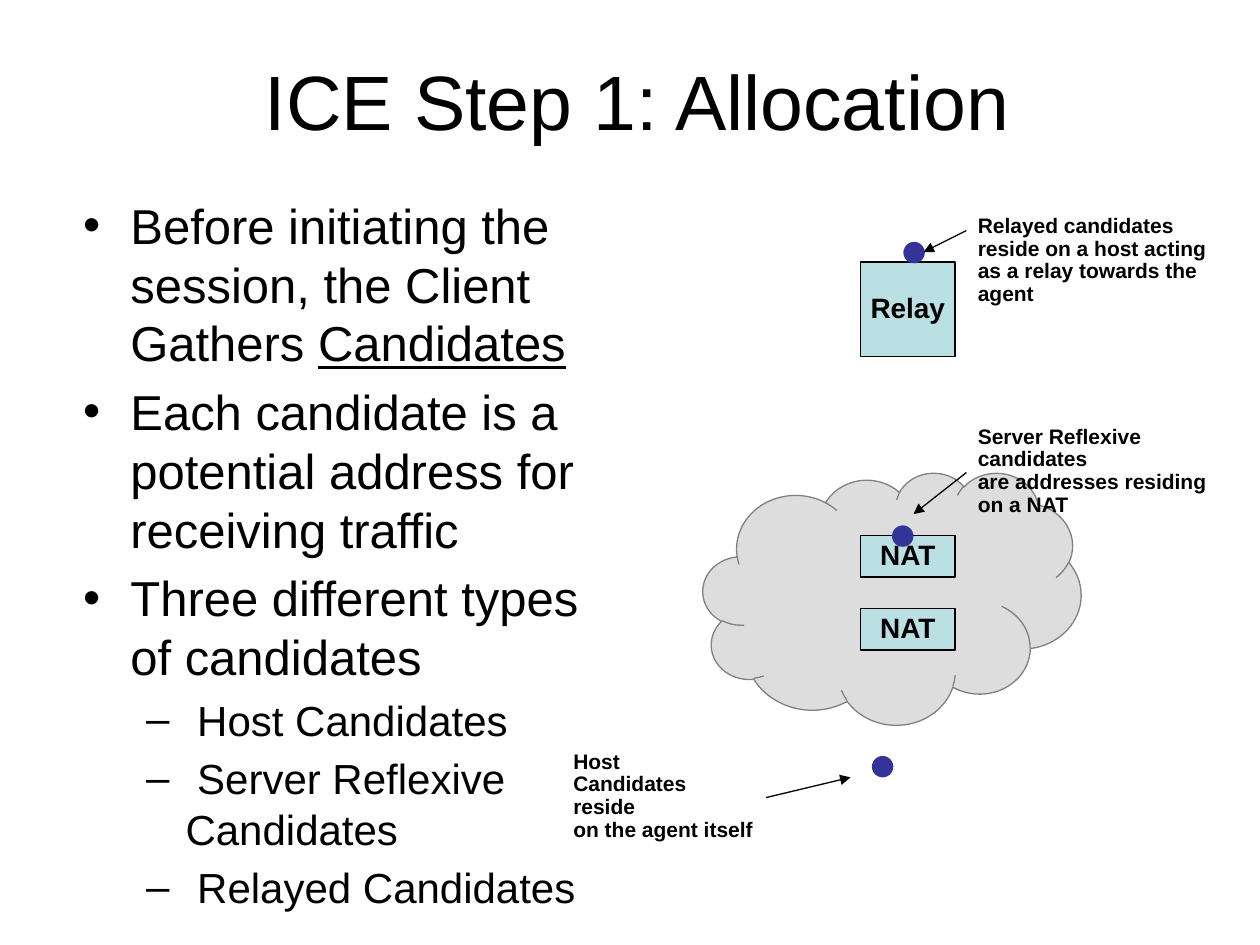
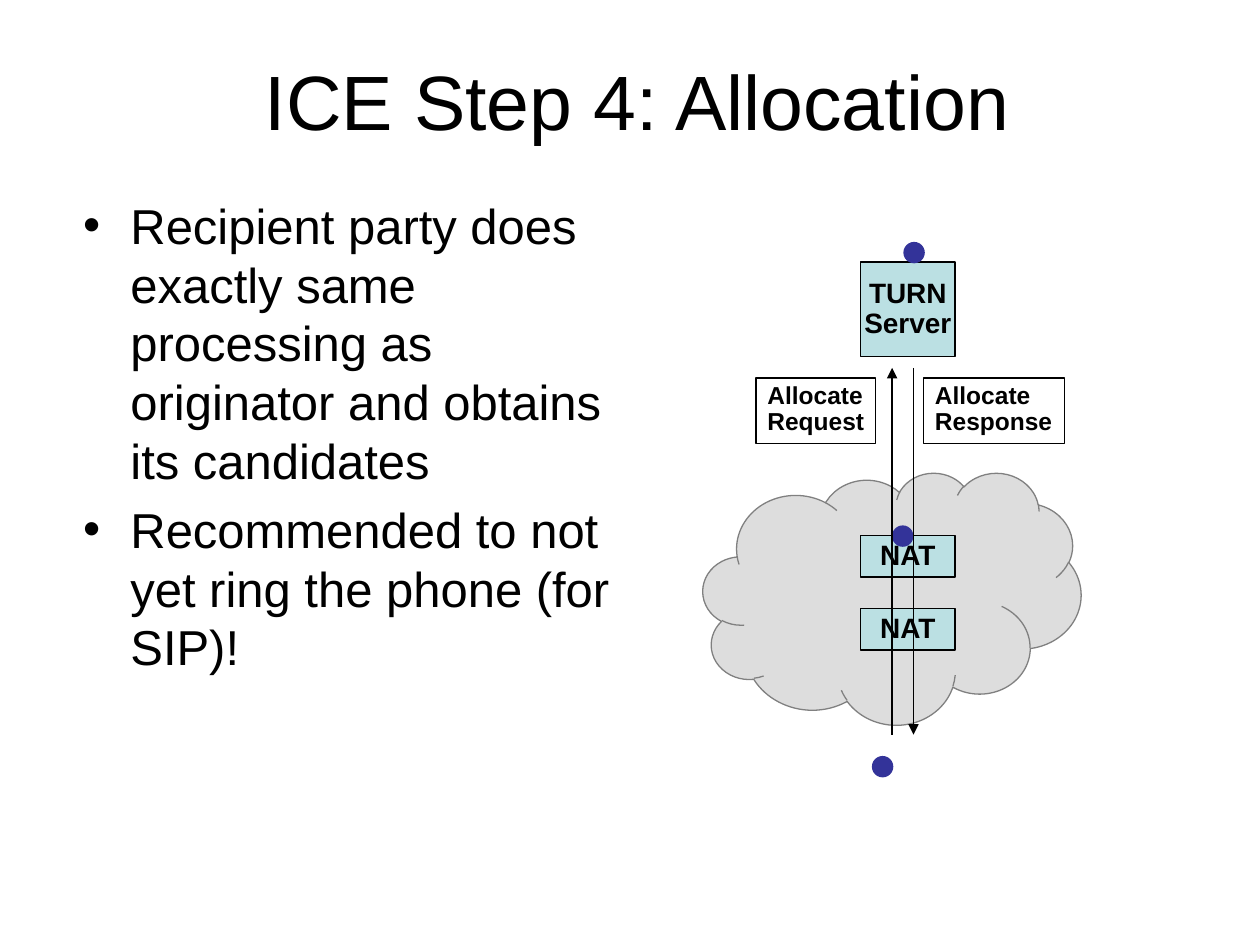
from copy import deepcopy
from lxml import etree
from pptx import Presentation
from pptx.dml.color import RGBColor
from pptx.enum.shapes import MSO_CONNECTOR, MSO_SHAPE
from pptx.enum.text import MSO_ANCHOR, MSO_AUTO_SIZE, PP_ALIGN
from pptx.oxml.ns import qn
from pptx.util import Inches, Pt

STRAIGHT = MSO_CONNECTOR.STRAIGHT
RECT, OVAL, CLOUD = MSO_SHAPE.RECTANGLE, MSO_SHAPE.OVAL, MSO_SHAPE.CLOUD
TOP, MIDDLE = MSO_ANCHOR.TOP, MSO_ANCHOR.MIDDLE
LEFT, CENTER = PP_ALIGN.LEFT, PP_ALIGN.CENTER
NO_FIT, GROW = MSO_AUTO_SIZE.NONE, MSO_AUTO_SIZE.SHAPE_TO_FIT_TEXT

FONT = "Arial"
COLORS = {"text": "000000", "line": "000000", "node": "BBE0E3", "dot": "333399",
          "cloud": "DDDDDD", "cloud_line": "808080"}
INSETS = {"margin_left": Inches(0.09), "margin_right": Inches(0.09),
          "margin_top": Inches(0.04), "margin_bottom": Inches(0.04)}
TITLE_BOX = (0.56, 0.5, 9, 0.58)
BODY_BOX = (0.56, 1.5, 4.41, 5.5)
DIAGRAM_BOX = (5.58, 1.67, 3, 4.5)
LEVEL_SIZES = (28, 24)


def rgb(name):
    return RGBColor.from_string(COLORS[name])


def apply(obj, values):
    for name, value in values.items():
        setattr(obj, name, value)


def style_run(r, size, **values):
    apply(r.font, {"name": FONT, "size": Pt(size), **values})
    r.font.color.rgb = rgb("text")


def place(sp, box):
    apply(sp, dict(zip(("left", "top", "width", "height"), map(Inches, box))))


def within(box, x, y, w, h):
    return [Inches(v) for v in (box[0] + x, box[1] + y, w, h)]


def write(tf, lines, size, align, **frame):
    apply(tf, {**INSETS, **frame})
    for i, line in enumerate(lines):
        p = tf.paragraphs[0] if i == 0 else tf.add_paragraph()
        p.text = line
        apply(p, {"alignment": align, "line_spacing": 0.9})
        for r in p.runs:
            style_run(r, size, bold=True)
        for br in p._p.findall(qn("a:br")):
            br.append(deepcopy(p.runs[0]._r.rPr))


def add_shape(s, kind, box, at, fill=None, line=None):
    sp = s.shapes.add_shape(kind, *within(box, *at))
    sp.shadow.inherit = False
    if fill:
        sp.fill.solid()
        sp.fill.fore_color.rgb = rgb(fill)
    else:
        sp.fill.background()
    if line:
        sp.line.color.rgb = rgb(line)
        sp.line.width = Pt(0.75)
    else:
        sp.line.fill.background()
    return sp


def add_node(s, box, at, *lines):
    sp = add_shape(s, RECT, box, at, "node", "line")
    write(sp.text_frame, lines, 16, CENTER, word_wrap=False, vertical_anchor=MIDDLE)


def add_message(s, box, at, *lines):
    sp = add_shape(s, RECT, box, at, line="line")
    write(sp.text_frame, lines, 14, LEFT, word_wrap=False, vertical_anchor=TOP)


def add_note(s, box, at, *lines):
    sp = s.shapes.add_textbox(*within(box, *at))
    write(sp.text_frame, lines, 12, LEFT, word_wrap=True, auto_size=GROW)


def add_arrow(s, box, x1, y1, x2, y2):
    x, y = box[:2]
    ends = [Inches(v) for v in (x + x1, y + y1, x + x2, y + y2)]
    c = s.shapes.add_connector(STRAIGHT, *ends)
    c.line.color.rgb = rgb("line")
    c.line.width = Pt(0.75)
    etree.SubElement(c.line._get_or_add_ln(), qn("a:tailEnd"), type="triangle")
    etree.SubElement(c._element.spPr, qn("a:effectLst"))


def add_title(s, box, text):
    sp = s.shapes.title
    place(sp, box)
    tf = sp.text_frame
    apply(tf, {"text": text, "auto_size": NO_FIT, "vertical_anchor": MIDDLE})
    p = tf.paragraphs[0]
    p.alignment = CENTER
    style_run(p.runs[0], 44)


def add_body(s, box, items):
    sp = s.placeholders[1]
    place(sp, box)
    tf = sp.text_frame
    tf.auto_size = NO_FIT
    for i, (level, text, underlined) in enumerate(items):
        p = tf.paragraphs[0] if i == 0 else tf.add_paragraph()
        p.level = level
        for part, underline in ((text, None), (underlined, True)):
            if part:
                r = p.add_run()
                r.text = part
                style_run(r, LEVEL_SIZES[level], underline=underline)


def add_network(s, box, *server):
    add_shape(s, CLOUD, box, (0, 2.08, 3, 2), "cloud", "cloud_line")
    add_node(s, box, (1.25, 0.41, 0.75, 0.75), *server)
    for y in (2.58, 3.16):
        add_node(s, box, (1.25, y, 0.75, 0.33), "NAT")
    for x, y in ((1.34, 4.33), (1.5, 2.5), (1.59, 0.25)):
        add_shape(s, OVAL, box, (x, y, 0.17, 0.17), "dot")


def add_candidate_notes(s, box):
    add_note(s, box, (-1.12, 4.25, 1.61, 0.63),
             "Host", "Candidates reside\von the agent itself")
    add_note(s, box, (2.09, 1.67, 2.08, 0.81),
             "Server Reflexive candidates", "are addresses residing on a NAT")
    add_note(s, box, (2.09, 0, 2.08, 0.81),
             "Relayed candidates reside on a host acting\vas a relay towards the\vagent")
    for ends in ((0.5, 4.66, 1.17, 4.5), (2.09, 2.08, 1.67, 2.41), (2.09, 0.16, 1.75, 0.33)):
        add_arrow(s, box, *ends)


def add_allocate_exchange(s, box):
    near, far = 1.25, 4.16
    add_arrow(s, box, 1.5, far, 1.5, near)
    add_arrow(s, box, 1.67, near, 1.67, far)
    add_message(s, box, (0.42, 1.33, 0.95, 0.52), "Allocate", "Request")
    add_message(s, box, (1.75, 1.33, 1.12, 0.52), "Allocate", "Response")


def add_step(prs, title, items, server, add_details):
    s = prs.slides.add_slide(prs.slide_layouts[1])
    add_title(s, TITLE_BOX, title)
    add_body(s, BODY_BOX, items)
    add_network(s, DIAGRAM_BOX, *server)
    add_details(s, DIAGRAM_BOX)


prs = Presentation()
prs.slide_width, prs.slide_height = Inches(10), Inches(7.5)
add_step(prs, "ICE Step 1: Allocation", [
    (0, "Before initiating the session, the Client Gathers ", "Candidates"),
    (0, "Each candidate is a potential address for receiving traffic", ""),
    (0, "Three different types of candidates", ""),
    (1, " Host Candidates", ""),
    (1, " Server Reflexive Candidates", ""),
    (1, " Relayed Candidates", ""),
], ["Relay"], add_candidate_notes)
add_step(prs, "ICE Step 4: Allocation", [
    (0, "Recipient party does exactly same processing as originator "
        "and obtains its candidates", ""),
    (0, "Recommended to not yet ring the phone (for SIP)!", ""),
], ["TURN", "Server"], add_allocate_exchange)
prs.save("out.pptx")
